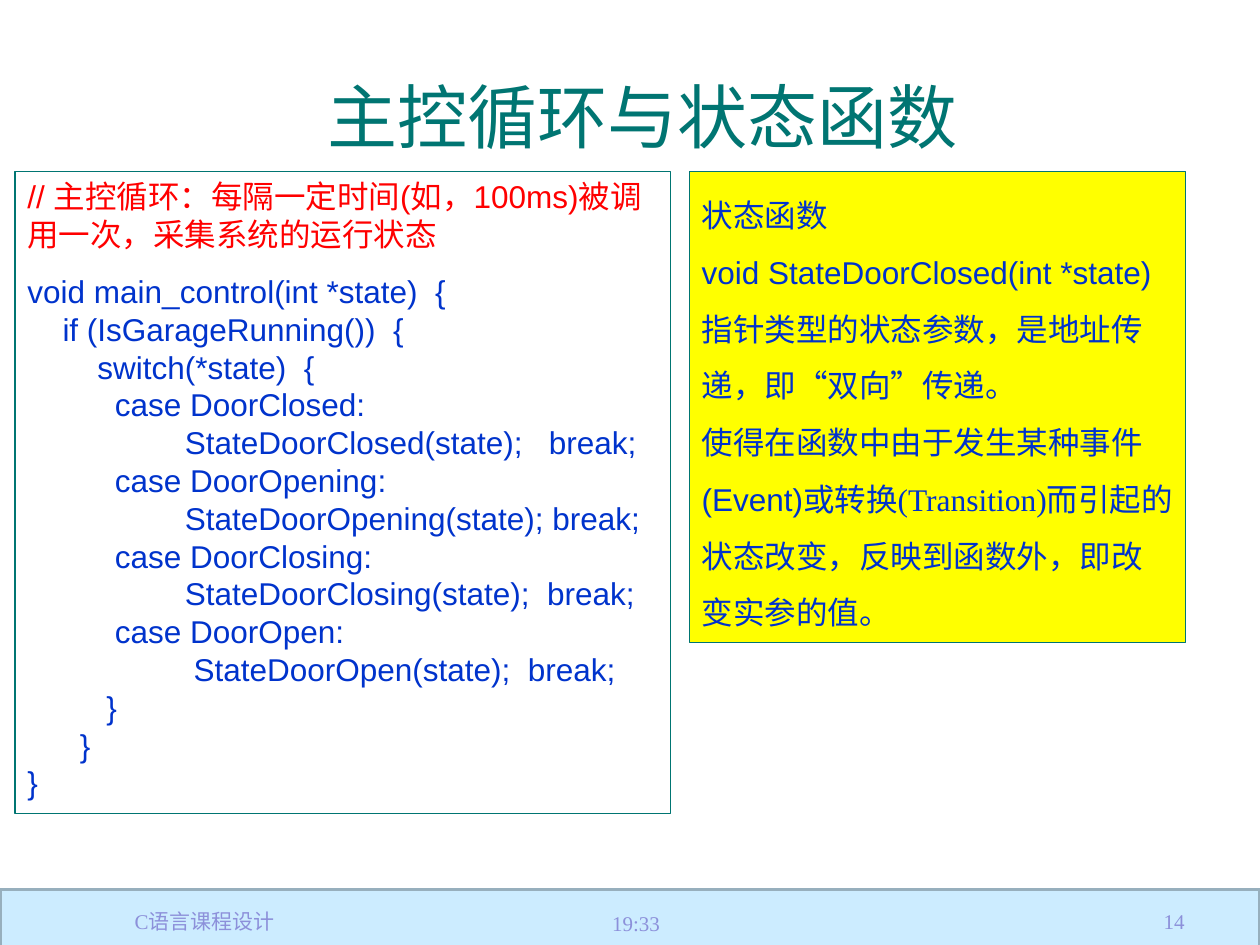
"""Build the slide on the main control loop and its state functions."""
from dataclasses import dataclass
from typing import Optional

import pptx
import pptx.dml.color
import pptx.enum.shapes
import pptx.enum.text
import pptx.util

Inches = pptx.util.Inches
Pt = pptx.util.Pt
RGBColor = pptx.dml.color.RGBColor
Align = pptx.enum.text.PP_ALIGN
Anchor = pptx.enum.text.MSO_ANCHOR

TEAL = RGBColor(0x00, 0x75, 0x72)
BLUE = RGBColor(0x00, 0x33, 0xCC)
RED = RGBColor(0xFF, 0x00, 0x00)
YELLOW = RGBColor(0xFF, 0xFF, 0x00)
LILAC = RGBColor(0x8C, 0x90, 0xDA)
PALE_BLUE = RGBColor(0xCC, 0xEC, 0xFF)
GREY_BLUE = RGBColor(0x97, 0xAF, 0xBD)

SANS = "Arial"
SERIF = "Times New Roman"
INDENT_UNIT = 5


@dataclass
class Run:
    text: str
    size: float = 18
    font: str = SANS
    color: RGBColor = BLUE


@dataclass
class Para:
    runs: list[Run]
    spacing: float = 1.0
    align: Align = Align.LEFT
    indent: int = 0


@dataclass
class Box:
    left: float
    top: float
    width: float
    height: float
    paras: list[Para]
    anchor: Anchor = Anchor.MIDDLE
    fill: Optional[RGBColor] = None
    line: Optional[RGBColor] = None
    line_width: float = 0.75


def code(indent: int, text: str, spacing: float = 1.0) -> Para:
    return Para([Run(text)], spacing, indent=indent)


def footer(left: float, top: float, width: float, text: str, align: Align) -> Box:
    return Box(left, top, width, 0.4, [Para([Run(text, 12, SERIF, LILAC)], align=align)])


def set_format(target, values: dict) -> None:
    for name, value in values.items():
        setattr(target, name, value)


def write_paras(tf, paras: list[Para]) -> None:
    for i, para in enumerate(paras):
        p = tf.paragraphs[0] if i == 0 else tf.add_paragraph()
        set_format(p, {"alignment": para.align, "line_spacing": para.spacing})
        if para.indent:
            p._p.get_or_add_pPr().set("marL", str(Pt(para.indent * INDENT_UNIT)))
        for run in para.runs:
            r = p.add_run()
            r.text = run.text
            set_format(r.font, {"size": Pt(run.size), "name": run.font})
            r.font.color.rgb = run.color


def draw_box(s, box: Box) -> None:
    place = [Inches(v) for v in (box.left, box.top, box.width, box.height)]
    if box.line is None:
        sp = s.shapes.add_textbox(*place)
    else:
        sp = s.shapes.add_shape(pptx.enum.shapes.MSO_SHAPE.RECTANGLE, *place)
        sp.shadow.inherit = False
        sp.line.color.rgb = box.line
        sp.line.width = Pt(box.line_width)
        if box.fill is None:
            sp.fill.background()
        else:
            sp.fill.solid()
            sp.fill.fore_color.rgb = box.fill
    tf = sp.text_frame
    set_format(tf, {"word_wrap": True, "vertical_anchor": box.anchor})
    write_paras(tf, box.paras)


STATE_NOTES = [
    code(0, "状态函数", 1.5),
    code(0, "void StateDoorClosed(int *state)", 1.5),
    code(0, "指针类型的状态参数，是地址传递，即“双向”传递。", 1.5),
    Para([
        Run("使得在函数中由于发生某种事件(Event)或"),
        Run("转换(Transition)而引起的状态改变，反映到函数外，即改变实参的值。", font=SERIF),
    ], 1.5),
]

CONTROL_LOOP = [
    Para([Run("// 主控循环：每隔一定时间(如，100ms)被调用一次，采集系统的运行状态", color=RED)]),
    code(0, "void main_control(int *state)  {", 1.5),
    code(4, "if (IsGarageRunning())  {"),
    code(8, "switch(*state)  {"),
    code(10, "case DoorClosed:"),
    code(18, "StateDoorClosed(state);   break;"),
    code(10, "case DoorOpening:"),
    code(18, "StateDoorOpening(state); break;"),
    code(10, "case DoorClosing:"),
    code(18, "StateDoorClosing(state);  break;"),
    code(10, "case DoorOpen:"),
    code(19, "StateDoorOpen(state);  break;"),
    code(9, "}"),
    code(6, "}"),
    code(0, "}"),
]

TITLE = [Para([Run("主控循环与状态函数", 40, SANS, TEAL)], align=Align.CENTER)]

BOXES = [
    Box(0, 7.06, 10, 0.47, [], fill=PALE_BLUE, line=GREY_BLUE, line_width=2),
    Box(0.39, 0.37, 9.42, 1.09, TITLE),
    Box(5.47, 1.36, 3.94, 3.74, STATE_NOTES, Anchor.TOP, YELLOW, TEAL),
    Box(0.12, 1.36, 5.2, 5.1, CONTROL_LOOP, Anchor.TOP, line=TEAL),
    footer(7.17, 7.11, 2.33, "14", Align.RIGHT),
    footer(0.04, 7.11, 3.17, "C语言课程设计", Align.CENTER),
    footer(4.76, 7.13, 2.33, "19:33", Align.LEFT),
]


def main() -> None:
    prs = pptx.Presentation()
    set_format(prs, {"slide_width": Inches(10), "slide_height": Inches(7.5)})
    s = prs.slides.add_slide(prs.slide_layouts[6])
    for box in BOXES:
        draw_box(s, box)
    prs.save("out.pptx")


if __name__ == "__main__":
    main()
